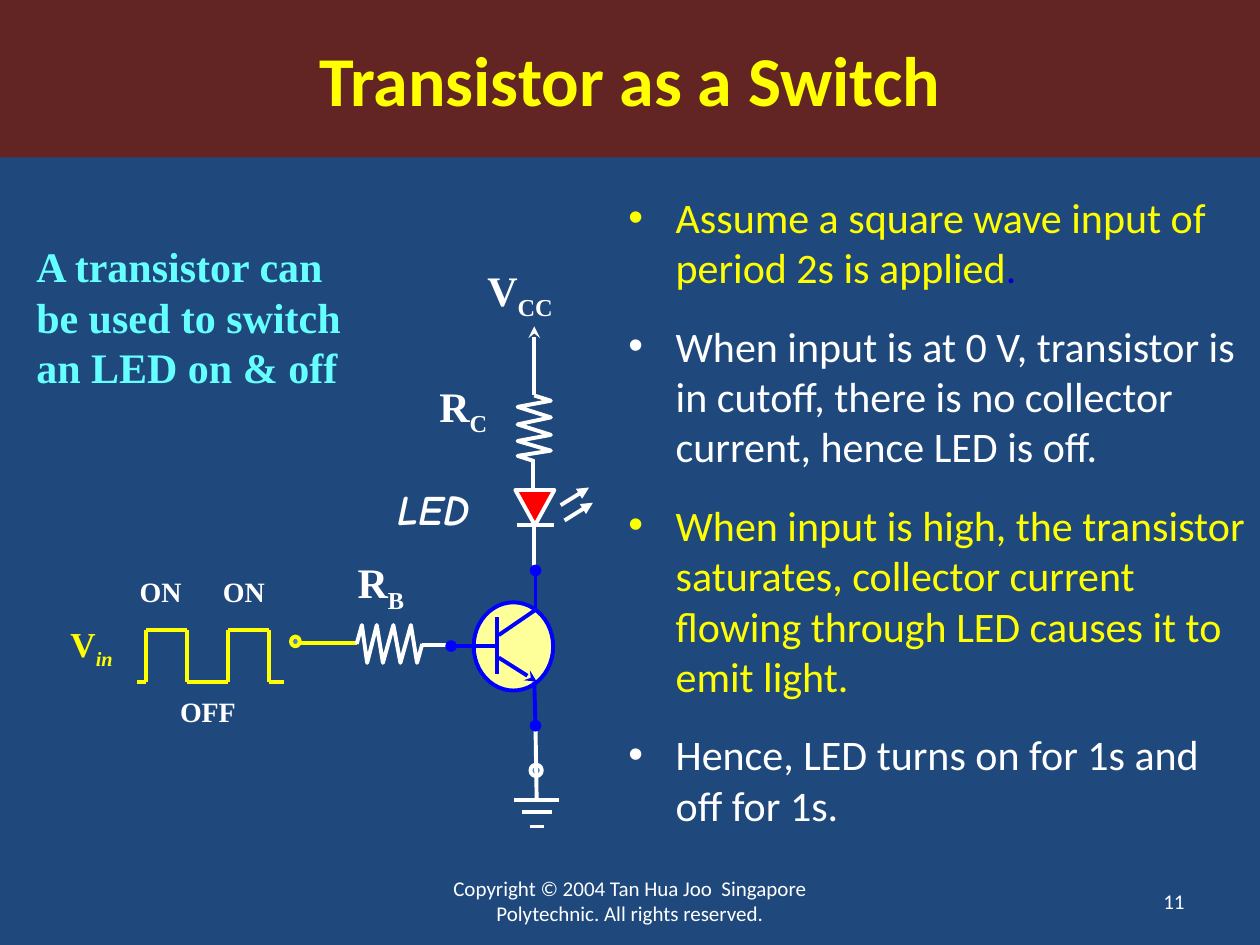
from lxml.etree import SubElement
from pptx import Presentation
from pptx.dml.color import RGBColor
from pptx.enum.shapes import MSO_CONNECTOR as Connector, MSO_SHAPE as Shape
from pptx.enum.text import MSO_ANCHOR as Anchor, PP_ALIGN as Align
from pptx.oxml.ns import qn
from pptx.util import Pt

SANS, SERIF = "Calibri", "Times New Roman"
WHITE, YELLOW, BLUE, CYAN = "FFFFFF", "FFFF00", "0000FF", "66FFFF"
NAVY, MAROON, DOT_FILL = "1F497D", "632523", "4F81BD"
LINE_WIDTH = 2.25
TIGHT, NORMAL = (1.4, 0.7), (7.2, 3.6)


def color(value):
    """Turn a hex string into a colour."""
    return RGBColor.from_string(value)


def write_text(para, text, size=24, font=SERIF, fill=WHITE, bold=False, italic=False, baseline=0):
    """Append a formatted span of text to a paragraph."""
    span = para.add_run()
    span.text = text
    span.font.size, span.font.name = Pt(size), font
    span.font.bold, span.font.italic = bold, italic
    span.font.color.rgb = color(fill)
    if baseline:
        span._r.get_or_add_rPr().set("baseline", str(baseline * 1000))


def add_box(slide, left, top, width, height, insets=NORMAL, anchor=Anchor.TOP):
    """Add a wrapping text box and return its text frame."""
    frame = slide.shapes.add_textbox(Pt(left), Pt(top), Pt(width), Pt(height)).text_frame
    frame.word_wrap = True
    frame.vertical_anchor = anchor
    frame.margin_left = frame.margin_right = Pt(insets[0])
    frame.margin_top = frame.margin_bottom = Pt(insets[1])
    return frame


def add_label(slide, place, text, subscript="", sub_italic=False, insets=NORMAL,
              anchor=Anchor.TOP, align=Align.LEFT, **style):
    """Add a one-paragraph label with an optional subscript."""
    para = add_box(slide, *place, insets=insets, anchor=anchor).paragraphs[0]
    para.alignment = align
    write_text(para, text, **style)
    if subscript:
        write_text(para, subscript, baseline=-25, italic=sub_italic, **style)


def add_shape(slide, kind, left, top, width, height, fill, outline=None):
    """Add a filled preset shape, outlined if a colour is given."""
    shape = slide.shapes.add_shape(kind, Pt(left), Pt(top), Pt(width), Pt(height))
    shape.shadow.inherit = False
    shape.fill.solid()
    shape.fill.fore_color.rgb = color(fill)
    if outline:
        shape.line.color.rgb = color(outline)
        shape.line.width = Pt(LINE_WIDTH)
    else:
        shape.line.fill.background()
    return shape


def add_wire(slide, x1, y1, x2, y2, stroke=WHITE, tip=None):
    """Add a straight line, with an optional tip at its end."""
    wire = slide.shapes.add_connector(Connector.STRAIGHT, Pt(x1), Pt(y1), Pt(x2), Pt(y2))
    wire.line.color.rgb = color(stroke)
    wire.line.width = Pt(LINE_WIDTH)
    properties = wire._element.spPr
    if tip:
        SubElement(properties.find(qn("a:ln")), qn("a:tailEnd"), type=tip)
    SubElement(properties, qn("a:effectLst"))


def add_resistor(slide, x, y, swing, upright=False):
    """Add a zigzag running right, or up if upright, from its start."""
    steps = (0, 3, 6, 11.5, 15, 21, 25, 31, 34.5, 37.5)
    sides = (0, *(-1, 1) * 4, 0)
    if upright:
        points = [(Pt(x + side * swing), Pt(y - step)) for step, side in zip(steps, sides)]
    else:
        points = [(Pt(x + step), Pt(y + side * swing)) for step, side in zip(steps, sides)]
    builder = slide.shapes.build_freeform(*points[0])
    builder.add_line_segments(points[1:], close=False)
    resistor = builder.convert_to_shape()
    resistor.shadow.inherit = False
    resistor.fill.background()
    resistor.line.color.rgb = color(WHITE)
    resistor.line.width = Pt(LINE_WIDTH)


def add_square_wave(slide):
    """Draw the two-pulse input wave and its labels."""
    low, high = 389.5, 360
    corners = [(78.5, low), (83.5, low), (83.5, high), (106.75, high), (106.75, low),
               (130.25, low), (130.25, high), (153.75, high), (153.75, low), (162.5, low)]
    for start, end in zip(corners, corners[1:]):
        add_wire(slide, *start, *end, stroke=YELLOW)
    for text, left, top in (("ON", 78.5, 327.6), ("ON", 126, 327.6), ("OFF", 101.5, 396)):
        add_label(slide, (left, top, 47, 21), text, insets=TIGHT, size=16, bold=True)
    add_label(slide, (38.9, 355, 34.6, 26), "V", "in", sub_italic=True,
              insets=TIGHT, size=20, bold=True, fill=YELLOW)


def add_supply_branch(slide):
    """Draw the supply, collector resistor and LED."""
    add_label(slide, (271.4, 147.6, 74, 36), "V", "CC", bold=True)
    add_label(slide, (244, 213.8, 53, 36), "R", "C", bold=True)
    add_label(slide, (226, 275.8, 60, 30), "LED", insets=TIGHT,
              font="Comic Neue", bold=True, italic=True)
    add_wire(slide, 305.3, 226, 305.3, 186.5, tip="stealth")
    add_resistor(slide, 305.3, 263.5, 9.5, upright=True)
    add_wire(slide, 304.6, 263, 304.6, 278.6)
    add_wire(slide, 305.3, 301, 305.3, 327.6)
    add_wire(slide, 295.2, 300.2, 316.8, 300.2)
    add_shape(slide, Shape.ISOSCELES_TRIANGLE, 294.5, 280, 22.3, 20.2, "FF0000", WHITE).rotation = 180
    for x, y in ((320.4, 288.7), (322.6, 297.4)):
        add_wire(slide, x, y, x + 16.2, y - 10.1, tip="triangle")


def add_base_branch(slide):
    """Draw the input terminal and base resistor."""
    add_label(slide, (197.3, 314.6, 66, 36), "R", "B", bold=True)
    add_wire(slide, 203.8, 367.2, 170, 367.2, stroke=YELLOW)
    add_shape(slide, Shape.OVAL, 166.3, 363.8, 5, 5.5, DOT_FILL, YELLOW)
    add_resistor(slide, 203.8, 368, 10.8)
    add_wire(slide, 241.2, 368.5, 260.6, 368.5)


def add_transistor(slide):
    """Draw the transistor, its leads and the ground below it."""
    add_shape(slide, Shape.OVAL, 303.1, 437, 6.5, 6.5, DOT_FILL, WHITE)
    add_wire(slide, 306.7, 458, 306, 415.5)
    add_shape(slide, Shape.OVAL, 270.7, 344.2, 45.4, 50.4, "FFFF99", BLUE)
    leads = [(284, 352.8, 284, 385.2, None), (285, 375.8, 306.7, 389.5, "stealth"),
             (285, 362.9, 306, 348.5, None), (283, 369.2, 257.8, 369.2, "oval"),
             (305.3, 389.5, 306, 414.7, "oval"), (306, 349, 306, 326, "oval")]
    for x1, y1, x2, y2, tip in leads:
        add_wire(slide, x1, y1, x2, y2, stroke=BLUE, tip=tip)
    for half, y in ((13, 457.2), (8.6, 463.9), (4, 472.3)):
        add_wire(slide, 306.7 - half, y, 306.7 + half, y)


def add_bullets(slide):
    """Add the bulleted explanation on the right."""
    frame = add_box(slide, 352, 105.8, 368, 394)
    items = [
        [("Assume a square wave input of period 2s is applied", YELLOW), (".", "0000CC")],
        [("When input is at 0 V, transistor is in cutoff, there is no collector current, "
          "hence LED is off.", WHITE)],
        [("When input is high, the transistor saturates, collector current flowing "
          "through LED causes it to emit light.", YELLOW)],
        [("Hence, LED turns on for 1s and off for 1s.", WHITE)],
    ]
    for index, spans in enumerate(items):
        para = frame.add_paragraph() if index else frame.paragraphs[0]
        if index:
            para.space_before = Pt(16)
        properties = para._p.get_or_add_pPr()
        properties.set("marL", str(Pt(27)))
        properties.set("indent", str(-Pt(27)))
        SubElement(properties, qn("a:buFont"), typeface="Arial")
        SubElement(properties, qn("a:buChar"), char="•")
        for text, fill in spans:
            write_text(para, text, font=SANS, fill=fill)


def add_title(slide):
    """Add the title band across the top."""
    band = add_shape(slide, Shape.RECTANGLE, 0, 0, 720, 90, MAROON)
    band.text_frame.vertical_anchor = Anchor.MIDDLE
    para = band.text_frame.paragraphs[0]
    para.alignment = Align.CENTER
    write_text(para, "Transistor as a Switch", size=40, font=SANS, fill=YELLOW, bold=True)


def add_footer(slide):
    """Add the copyright line and the page number."""
    footer = {"anchor": Anchor.MIDDLE, "size": 12, "font": SANS}
    add_label(slide, (246, 500.4, 228, 28.8),
              "Copyright © 2004 Tan Hua Joo  Singapore Polytechnic. All rights reserved.",
              align=Align.CENTER, **footer)
    add_label(slide, (516, 500.4, 168, 28.8), "11", align=Align.RIGHT, **footer)


def main():
    """Build the slide and save the deck."""
    deck = Presentation()
    deck.slide_width, deck.slide_height = Pt(720), Pt(540)
    slide = deck.slides.add_slide(deck.slide_layouts[6])
    slide.background.fill.solid()
    slide.background.fill.fore_color.rgb = color(NAVY)
    add_bullets(slide)
    add_supply_branch(slide)
    add_base_branch(slide)
    add_square_wave(slide)
    add_transistor(slide)
    add_label(slide, (13.7, 134, 201.6, 93.6), "A transistor can be used to switch an LED on & off",
              fill=CYAN, bold=True)
    add_title(slide)
    add_footer(slide)
    deck.save("out.pptx")


if __name__ == "__main__":
    main()
